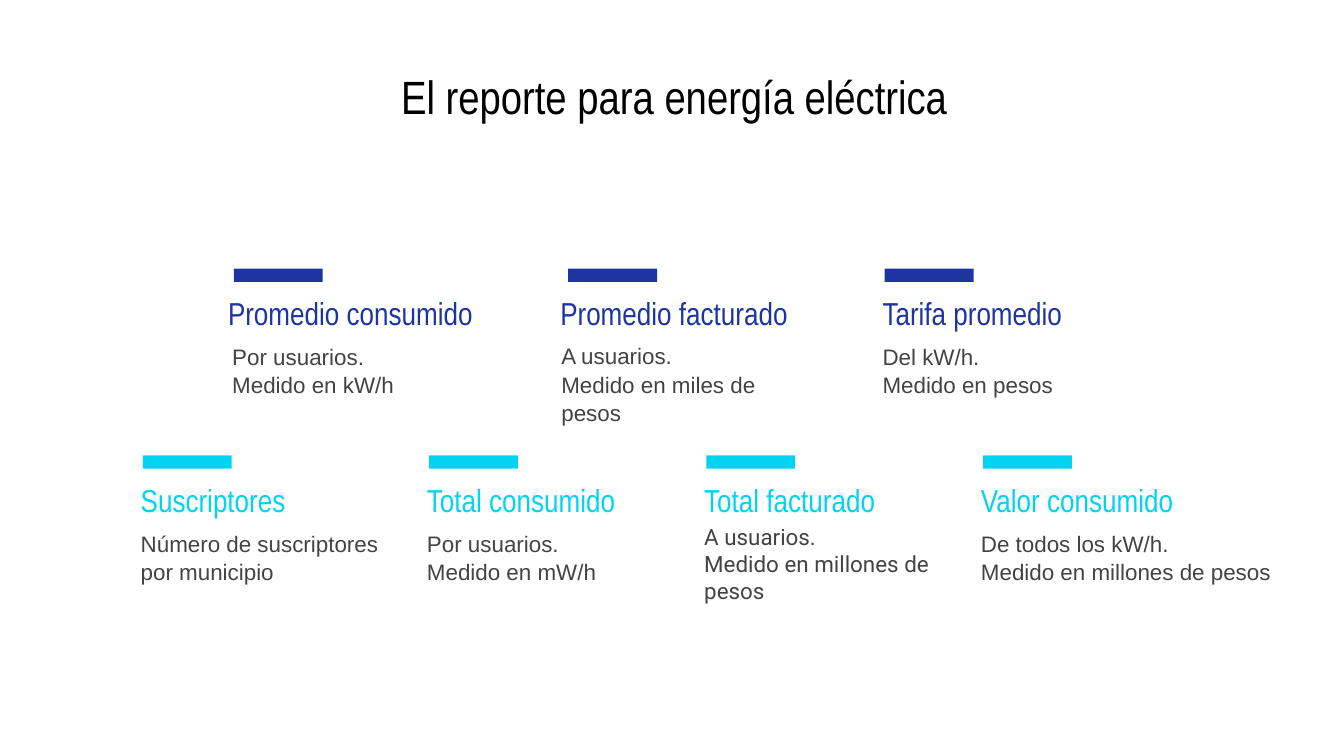
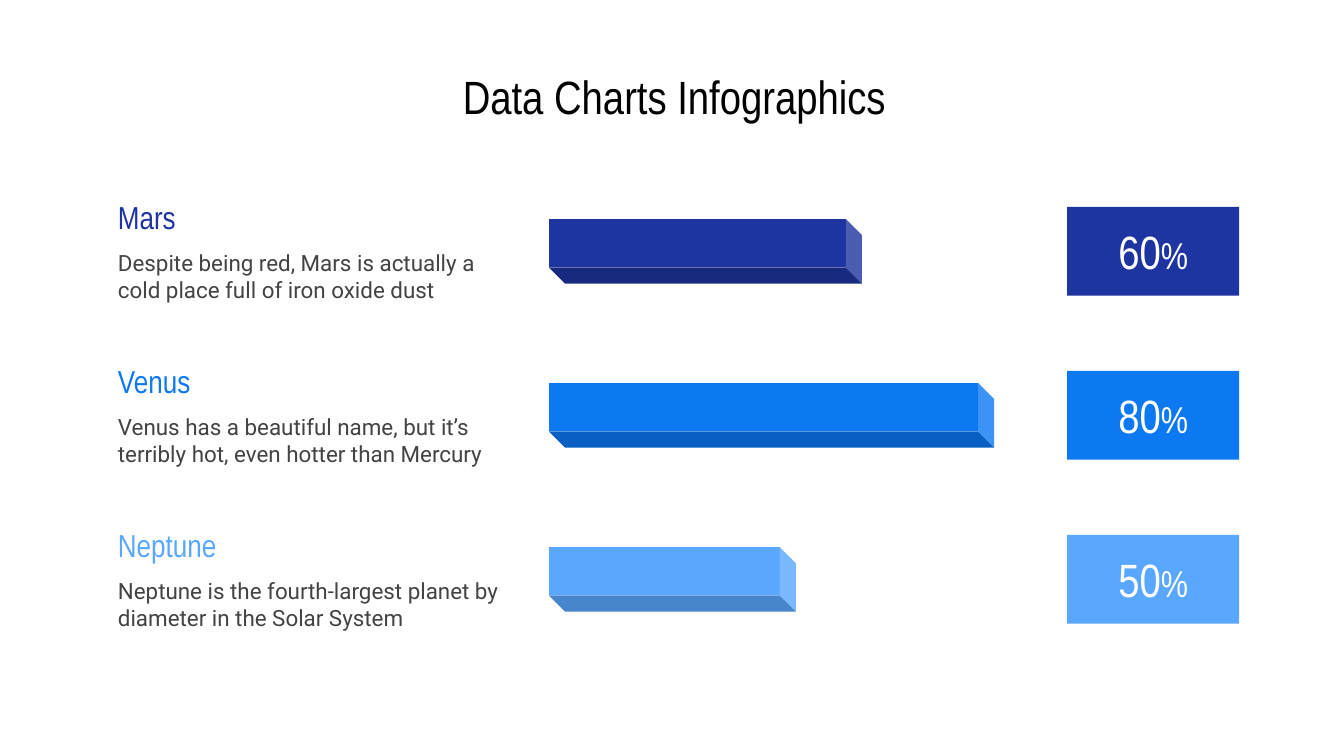
from dataclasses import dataclass

from pptx import Presentation
from pptx.dml.color import RGBColor
from pptx.enum.shapes import MSO_SHAPE
from pptx.enum.text import MSO_ANCHOR, MSO_AUTO_SIZE, PP_ALIGN
from pptx.util import Cm, Pt


@dataclass(frozen=True)
class Theme:
    black: str = "000000"
    white: str = "FFFFFF"
    grey: str = "434343"
    navy: str = "1E35A1"
    blue: str = "0C79F3"
    sky: str = "59A7FF"
    cyan: str = "00D4F0"
    display: str = "Arial Narrow"
    body: str = "Roboto"
    plain: str = "Arial"
    title_size: int = 25
    percent_size: int = 20
    heading_size: int = 17
    body_size: int = 12


T = Theme()

REPORT_TITLE = "El reporte para energía eléctrica"
REPORT_ROWS = [
    dict(color=T.navy, top=5.08, items=[
        dict(heading="Promedio consumido", lines=["Por usuarios.", "Medido en kW/h"],
             x=4.06, bar_dx=0.36, body_dx=0.08, heading_w=6.22),
        dict(heading="Promedio facturado", lines=["A usuarios.", "Medido en miles de pesos"],
             x=10.34, bar_dx=0.4, body_dx=0.02, body_dy=0.25, heading_w=6.02, body_w=4.85),
        dict(heading="Tarifa promedio", lines=["Del kW/h.", "Medido en pesos"], x=16.43),
    ]),
    dict(color=T.cyan, top=8.61, items=[
        dict(heading="Suscriptores", lines=["Número de suscriptores por municipio"],
             x=2.41, body_w=5.08),
        dict(heading="Total consumido", lines=["Por usuarios.", "Medido en mW/h"], x=7.82),
        dict(heading="Total facturado", lines=["A usuarios.", "Medido en millones de pesos"],
             x=13.06, body_dy=0.13, font=T.body),
        dict(heading="Valor consumido", lines=["De todos los kW/h.", "Medido en millones de pesos"],
             x=18.29, heading_w=5.31, body_w=6.15),
    ]),
]

PLANETS_TITLE = "Data Charts Infographics"
PLANETS = [
    ("Mars", "Despite being red, Mars is actually a cold place full of iron oxide dust", 60, T.navy),
    ("Venus", "Venus has a beautiful name, but it’s terribly hot, even hotter than Mercury", 80, T.blue),
    ("Neptune", "Neptune is the fourth-largest planet by diameter in the Solar System", 50, T.sky),
]


def write(sp, paragraphs, font=T.body, size=T.body_size, color=T.grey,
          align=PP_ALIGN.LEFT, spacing=1.0):
    tf = sp.text_frame
    tf.word_wrap = True
    tf.auto_size = MSO_AUTO_SIZE.NONE
    tf.vertical_anchor = MSO_ANCHOR.MIDDLE
    tf.margin_left = tf.margin_right = tf.margin_top = tf.margin_bottom = Cm(0.25)
    for i, runs in enumerate(paragraphs):
        p = tf.add_paragraph() if i else tf.paragraphs[0]
        p.alignment = align
        p.line_spacing = spacing
        for text, run_size in [(runs, size)] if isinstance(runs, str) else runs:
            r = p.add_run()
            r.text = text
            r.font.name = font
            r.font.size = Pt(run_size)
            r.font.color.rgb = RGBColor.from_string(color)


def add_text(s, x, y, w, h, paragraphs, **style):
    write(s.shapes.add_textbox(Cm(x), Cm(y), Cm(w), Cm(h)), paragraphs, **style)


def add_block(s, kind, x, y, w, h, color):
    sp = s.shapes.add_shape(kind, Cm(x), Cm(y), Cm(w), Cm(h))
    sp.shadow.inherit = False
    sp.fill.solid()
    sp.fill.fore_color.rgb = RGBColor.from_string(color)
    sp.line.fill.background()
    return sp


def add_slide(prs, title):
    s = prs.slides.add_slide(prs.slide_layouts[5])
    sp = s.shapes.title
    sp.left, sp.top, sp.width, sp.height = Cm(1.35), Cm(1.14), Cm(22.78), Cm(1.35)
    write(sp, [title], font=T.display, size=T.title_size, color=T.black, align=PP_ALIGN.CENTER)
    return s


def add_measure(s, item, top, color):
    x = item["x"]
    font = item.get("font", T.plain)
    add_block(s, MSO_SHAPE.RECTANGLE, x + item.get("bar_dx", 0.29), top, 1.68, 0.25, color)
    add_text(s, x, top + 0.46, item.get("heading_w", 4.93), 0.74, [item["heading"]],
             font=T.display, size=T.heading_size, color=color)
    add_text(s, x + item.get("body_dx", 0), top + 1.16 + item.get("body_dy", 0),
             item.get("body_w", 4.93), 1.52, item["lines"],
             font=font, spacing=1.05 if font == T.plain else 1.0)


def add_planet(s, name, fact, percent, color, top):
    add_text(s, 1.98, top, 7.82, 1.02, [name],
             font=T.display, size=T.heading_size, color=color)
    add_text(s, 1.98, top + 0.91, 7.82, 1.45, [fact])

    badge_top, badge_h = top + 0.33, 1.68
    middle = badge_top + badge_h / 2
    length, depth, bar_left = 0.125 * percent - 1.58, 1.22, 10.37
    bar = add_block(s, MSO_SHAPE.CUBE, bar_left + (length - depth) / 2,
                    middle - length / 2, depth, length, color)
    bar.rotation = 90

    badge = add_block(s, MSO_SHAPE.ROUNDED_RECTANGLE, 20.17, badge_top, 3.25, badge_h, color)
    badge.adjustments[0] = 0
    write(badge, [[(str(percent), T.title_size), ("%", T.percent_size)]],
          font=T.display, color=T.white, align=PP_ALIGN.CENTER)


def main():
    prs = Presentation()
    prs.slide_width, prs.slide_height = Cm(25.4), Cm(14.29)

    s = add_slide(prs, REPORT_TITLE)
    for row in REPORT_ROWS:
        for item in row["items"]:
            add_measure(s, item, row["top"], row["color"])

    s = add_slide(prs, PLANETS_TITLE)
    for i, planet in enumerate(PLANETS):
        add_planet(s, *planet, top=3.58 + 3.1 * i)

    prs.save("out.pptx")


if __name__ == "__main__":
    main()
